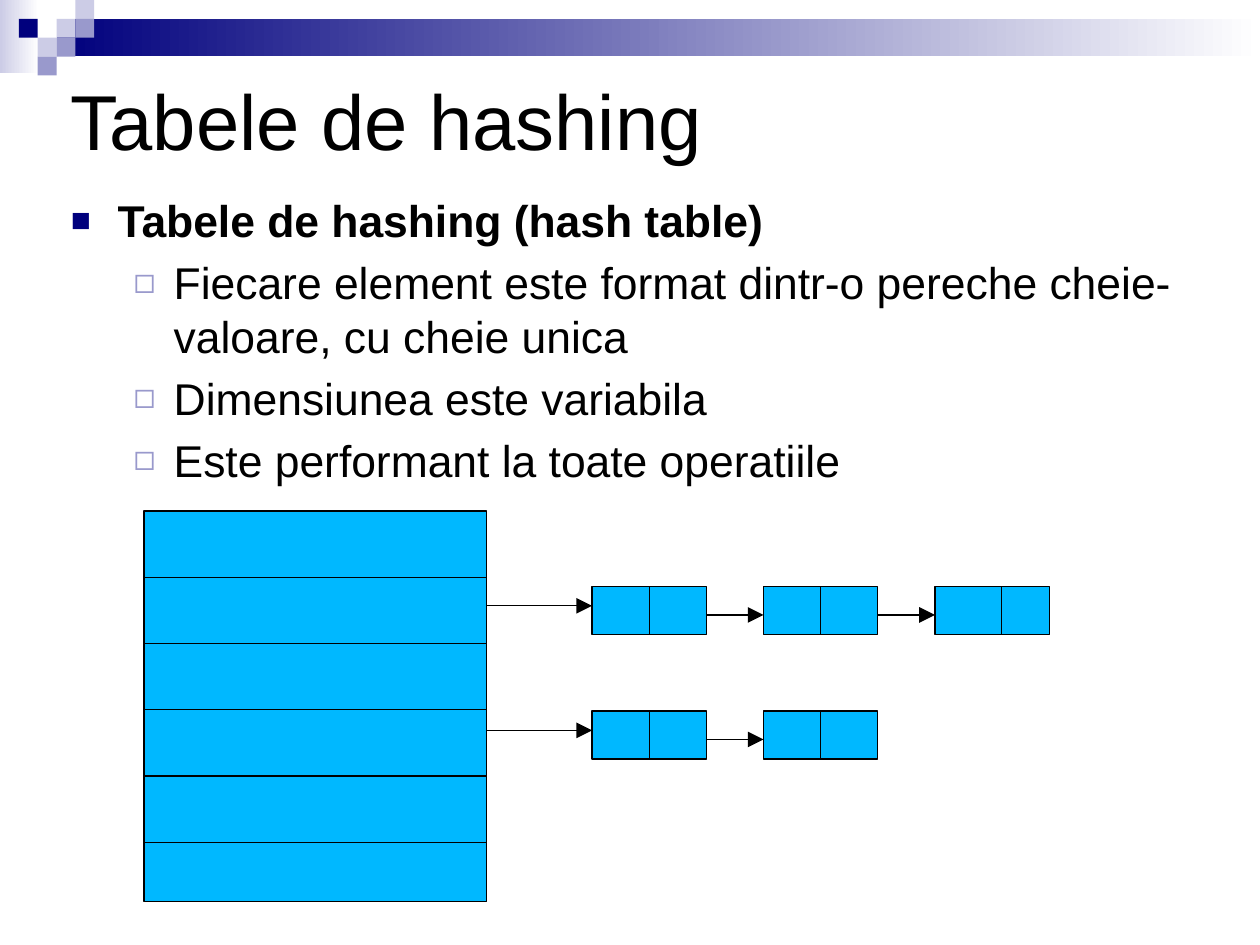
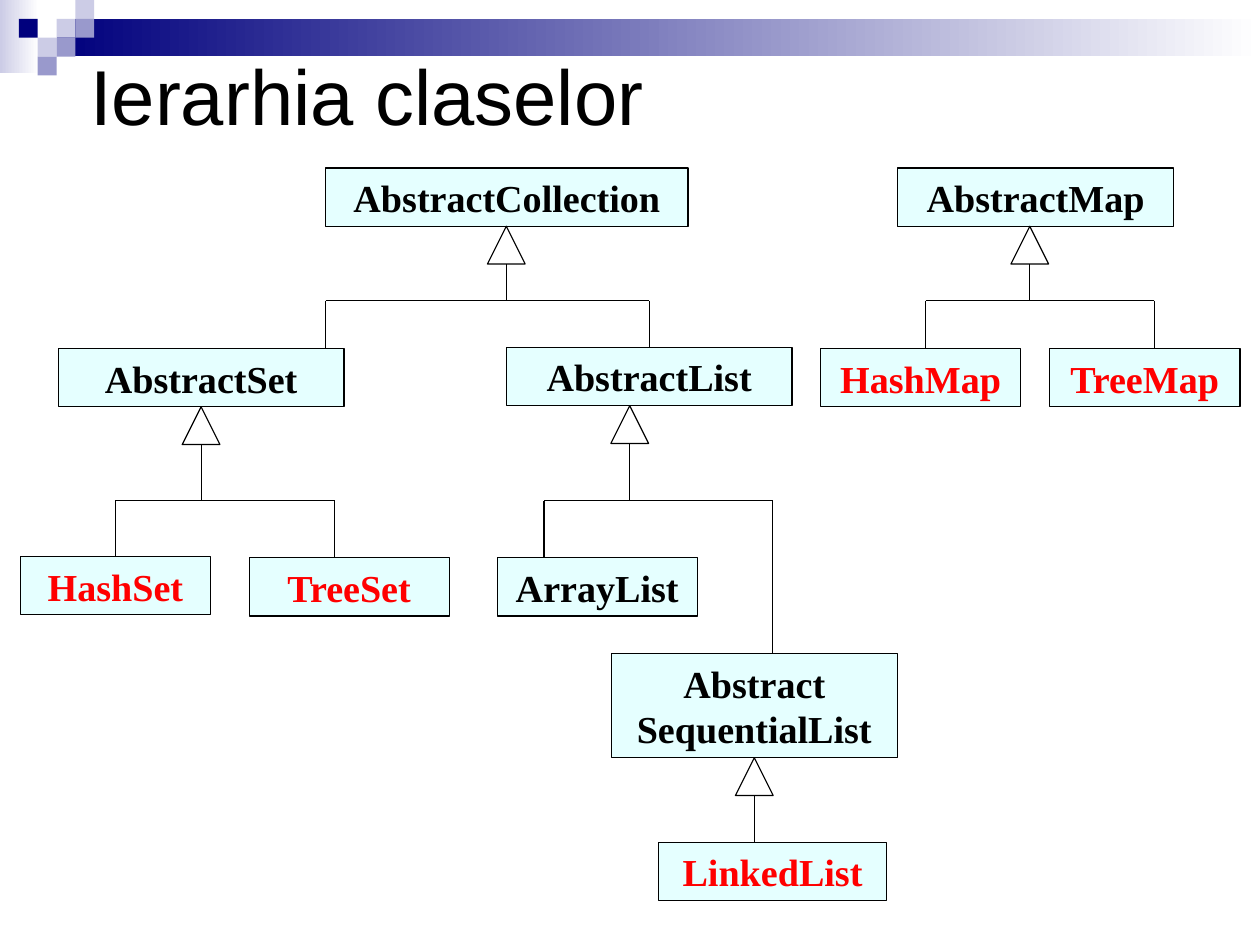
from lxml import etree
from pptx import Presentation
from pptx.dml.color import RGBColor
from pptx.enum.shapes import MSO_CONNECTOR, MSO_SHAPE
from pptx.enum.text import MSO_ANCHOR, PP_ALIGN
from pptx.oxml.ns import qn
from pptx.util import Inches, Pt

RECTANGLE = MSO_SHAPE.RECTANGLE
TRIANGLE = MSO_SHAPE.ISOSCELES_TRIANGLE
STRAIGHT = MSO_CONNECTOR.STRAIGHT
TOP, MIDDLE = MSO_ANCHOR.TOP, MSO_ANCHOR.MIDDLE
LEFT, CENTER = PP_ALIGN.LEFT, PP_ALIGN.CENTER

COLORS = {
    "navy": "00007D", "lavender": "9999CC", "pale": "CCCCE6",
    "white": "FFFFFF", "black": "000000", "red": "FF0000",
    "cell": "00B8FF", "class": "CCFFFF",
}
# 28 by 21 centimetres, in inches
SLIDE_WIDTH, SLIDE_HEIGHT = 28 / 2.54, 21 / 2.54
LINE_WIDTH = 0.75
TEXT_INSETS = {"margin_left": 0.11, "margin_right": 0.11,
               "margin_top": 0.06, "margin_bottom": 0.06}

FONTS = {
    "title": {"name": "Arial", "size": Pt(49), "bold": False},
    "heading": {"name": "Arial", "size": Pt(28), "bold": True},
    "item": {"name": "Arial", "size": Pt(28), "bold": False},
    "class": {"name": "Times New Roman", "size": Pt(24), "bold": True},
}
# indent, hanging width, bullet, bullet colour, bullet size in percent
BULLETS = {
    "heading": (0.41, 0.41, "■", "navy", 75),
    "item": (0.9, 0.35, "◻", "lavender", 80),
}

# Header squares: column, row, colour
SQUARE = 0.33 / 2
HEADER_SQUARES = [
    (3, 1, "pale"), (4, 0, "pale"), (4, 1, "lavender"), (2, 2, "pale"),
    (1, 1, "navy"), (3, 2, "lavender"), (2, 3, "lavender"),
]

BODY = [
    ("heading", "Tabele de hashing (hash table)"),
    ("item", "Fiecare element este format dintr-o pereche cheie-valoare, cu cheie unica"),
    ("item", "Dimensiunea este variabila"),
    ("item", "Este performant la toate operatiile"),
]

# Class name: left, top, width, height, text colour
CLASSES = {
    "AbstractCollection": (2.85, 1.47, 3.17, 0.51, "black"),
    "AbstractMap": (7.85, 1.47, 2.42, 0.51, "black"),
    "AbstractSet": (0.51, 3.05, 2.5, 0.51, "black"),
    "AbstractList": (4.43, 3.04, 2.5, 0.51, "black"),
    "HashMap": (7.18, 3.05, 1.75, 0.51, "red"),
    "TreeMap": (9.18, 3.05, 1.67, 0.51, "red"),
    "HashSet": (0.18, 4.87, 1.66, 0.51, "red"),
    "TreeSet": (2.18, 4.88, 1.75, 0.51, "red"),
    "ArrayList": (4.35, 4.88, 1.75, 0.51, "black"),
    "Abstract SequentialList": (5.35, 5.72, 2.5, 0.91, "black"),
    "LinkedList": (5.76, 7.37, 2, 0.51, "red"),
}
# Parent, x of its triangle, y of the branching bar, x of the line to each child
INHERITANCE = [
    ("AbstractCollection", 4.43, 2.63, {"AbstractSet": 2.85, "AbstractList": 5.68}),
    ("AbstractMap", 9.01, 2.63, {"HashMap": 8.1, "TreeMap": 10.1}),
    ("AbstractSet", 1.76, 4.38, {"HashSet": 1.01, "TreeSet": 2.93}),
    ("AbstractList", 5.51, 4.38, {"ArrayList": 4.76, "Abstract SequentialList": 6.76}),
    ("Abstract SequentialList", 6.6, None, {"LinkedList": 6.6}),
]


def rgb(color):
    return RGBColor.from_string(COLORS[color])


def add_box(slide, box, fill=None, line=None, preset=RECTANGLE):
    """Add a shape; fill is a colour, a pair of gradient colours or None."""
    shape = slide.shapes.add_shape(preset, *map(Inches, box))
    shape.shadow.inherit = False
    if fill is None:
        shape.fill.background()
    elif isinstance(fill, tuple):
        shape.fill.gradient()
        shape.fill.gradient_angle = 0
        for stop, color in zip(shape.fill.gradient_stops, fill):
            stop.color.rgb = rgb(color)
    else:
        shape.fill.solid()
        shape.fill.fore_color.rgb = rgb(fill)
    if line:
        shape.line.color.rgb = rgb(line)
        shape.line.width = Pt(LINE_WIDTH)
    else:
        shape.line.fill.background()
    return shape


def add_line(slide, start, end, arrow=False):
    connector = slide.shapes.add_connector(STRAIGHT, *map(Inches, (*start, *end)))
    connector.line.color.rgb = rgb("black")
    connector.line.width = Pt(LINE_WIDTH)
    properties = connector.line.fill._xPr
    if arrow:
        etree.SubElement(properties, qn("a:tailEnd"), type="triangle", w="lg", len="lg")
    etree.SubElement(properties.getparent(), qn("a:effectLst"))
    return connector


def set_opacity(shape, percent):
    color = shape.fill._xPr.find(qn("a:solidFill"))[0]
    etree.SubElement(color, qn("a:alpha"), val=str(percent * 1000))


def set_bullet(paragraph, indent, hanging, character, color, percent):
    properties = paragraph._p.get_or_add_pPr()
    properties.set("marL", str(Inches(indent)))
    properties.set("indent", str(-Inches(hanging)))
    bullet_color = etree.SubElement(properties, qn("a:buClr"))
    etree.SubElement(bullet_color, qn("a:srgbClr"), val=COLORS[color])
    etree.SubElement(properties, qn("a:buSzPct"), val=str(percent * 1000))
    etree.SubElement(properties, qn("a:buFont"), typeface="Arial")
    etree.SubElement(properties, qn("a:buChar"), char=character)


def write_text(shape, lines, anchor, align=LEFT, color="black", insets=None):
    """Fill a shape with (style, text) paragraphs."""
    frame = shape.text_frame
    frame.word_wrap = True
    frame.vertical_anchor = anchor
    for name, value in (insets or {}).items():
        setattr(frame, name, Inches(value))
    for index, (style, text) in enumerate(lines):
        paragraph = frame.add_paragraph() if index else frame.paragraphs[0]
        paragraph.alignment = align
        if index:
            paragraph.space_before = Pt(5.5)
        if style in BULLETS:
            set_bullet(paragraph, *BULLETS[style])
        run = paragraph.add_run()
        run.text = text
        for name, value in FONTS[style].items():
            setattr(run.font, name, value)
        run.font.color.rgb = rgb(color)


def add_text(slide, box, lines, anchor):
    textbox = slide.shapes.add_textbox(*map(Inches, box))
    write_text(textbox, lines, anchor, insets=TEXT_INSETS)


def draw_header(slide):
    add_box(slide, (0, 0, 0.34, 0.64), ("pale", "white"))
    add_box(slide, (0.5, SQUARE, SLIDE_WIDTH - 0.5, 2 * SQUARE), ("navy", "white"))
    for column, row, color in HEADER_SQUARES:
        add_box(slide, (column * SQUARE, row * SQUARE, SQUARE, SQUARE), color)


def add_titled_slide(presentation, title, left, top):
    slide = presentation.slides.add_slide(presentation.slide_layouts[6])
    draw_header(slide)
    add_text(slide, (left, top, 9.92, 1.65), [("title", title)], MIDDLE)
    return slide


def draw_buckets(slide, left, top, width, height, row_height=0.58, rows=6):
    add_box(slide, (left, top, width, height), "cell", "black")
    for row in range(1, rows):
        y = top + row * row_height
        add_line(slide, (left, y), (left + width, y))


def draw_chain(slide, bucket_right, top, dividers):
    """Draw linked nodes; each divider is the x offset of the line in its node."""
    first, pitch, width, height = bucket_right + 0.92, 1.5, 1, 0.42
    add_line(slide, (bucket_right, top + 0.17), (first, top + 0.17), arrow=True)
    for index, divider in enumerate(dividers):
        left = first + index * pitch
        add_box(slide, (left, top, width, height), "cell", "black")
        add_line(slide, (left + divider, top), (left + divider, top + height))
        if index:
            y = top + 0.25
            add_line(slide, (left - pitch + width, y), (left, y), arrow=True)


def draw_class(slide, name, left, top, width, height, color):
    shape = add_box(slide, (left, top, width, height), "class", "black")
    set_opacity(shape, 50)
    write_text(shape, [("class", name)], MIDDLE, CENTER, color)
    return shape


def draw_inheritance(slide, shapes, parent, x, bar_y, children):
    """Draw the triangle under a parent and the lines down to its children."""
    size = 0.33
    _, top, _, height, _ = CLASSES[parent]
    bottom = top + height
    base = bottom + size
    add_box(slide, (x - size / 2, bottom, size, size), None, "black", TRIANGLE)
    if bar_y is not None:
        add_line(slide, (x, base), (x, bar_y))
        add_line(slide, (min(children.values()), bar_y), (max(children.values()), bar_y))
    for child, child_x in children.items():
        left, child_top, width, _, _ = CLASSES[child]
        connector = add_line(slide, (child_x, bar_y or base), (child_x, child_top))
        if abs(left + width / 2 - child_x) < 0.01:
            connector.end_connect(shapes[child], 0)


def build_hash_slide(presentation):
    slide = add_titled_slide(presentation, "Tabele de hashing", 0.51, 0.22)
    add_text(slide, (0.51, 1.63, 9.92, 4.68), BODY, TOP)
    left, width = 1.26, 3
    draw_buckets(slide, left, 4.47, width, 3.42)
    for top, dividers in ((5.13, (0.5, 0.5, 0.58)), (6.22, (0.5, 0.5))):
        draw_chain(slide, left + width, top, dividers)


def build_class_slide(presentation):
    slide = add_titled_slide(presentation, "Ierarhia claselor", 0.68, 0)
    shapes = {name: draw_class(slide, name, *place) for name, place in CLASSES.items()}
    for relation in INHERITANCE:
        draw_inheritance(slide, shapes, *relation)


def main():
    presentation = Presentation()
    presentation.slide_width = Inches(SLIDE_WIDTH)
    presentation.slide_height = Inches(SLIDE_HEIGHT)
    build_hash_slide(presentation)
    build_class_slide(presentation)
    presentation.save("out.pptx")


if __name__ == "__main__":
    main()
